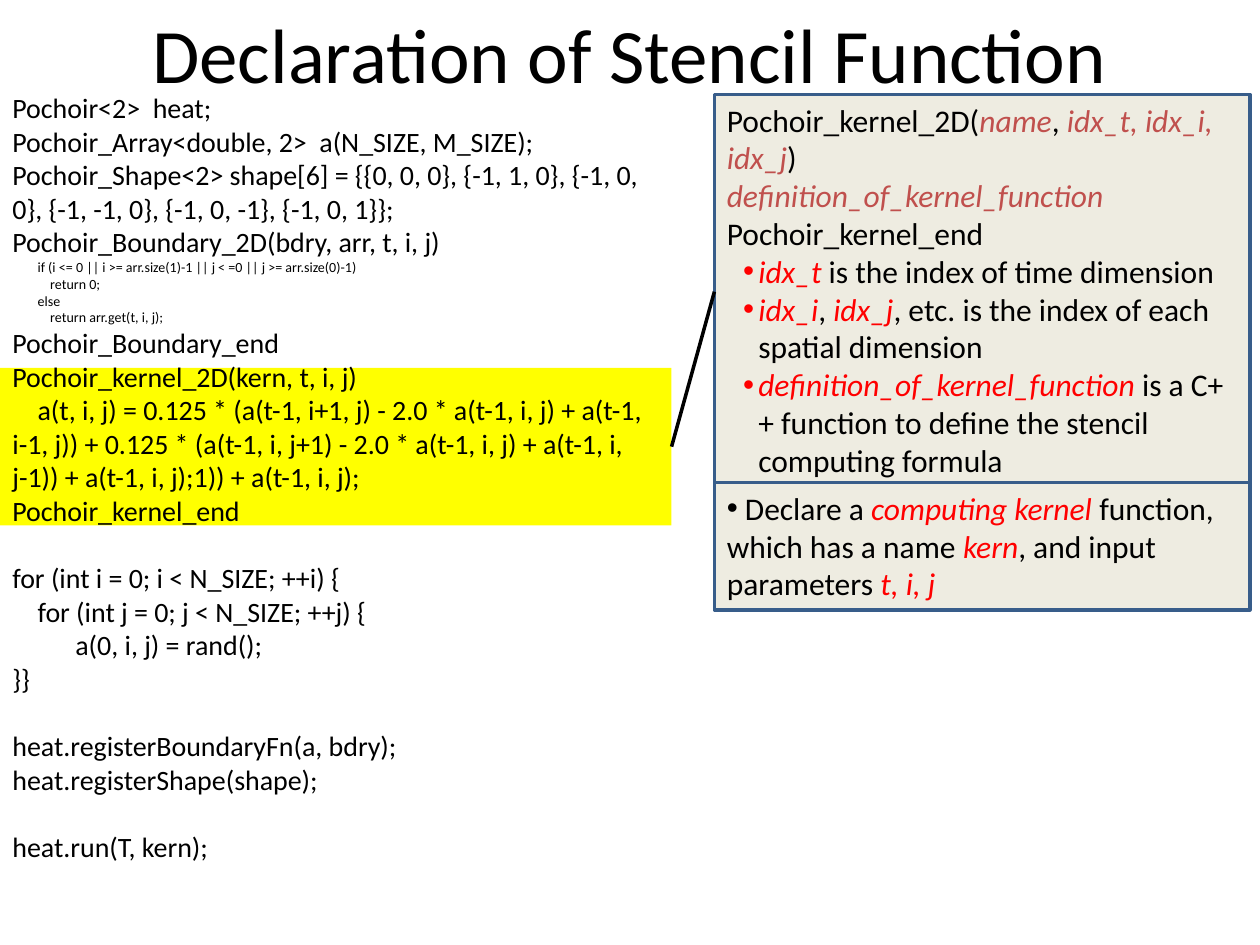
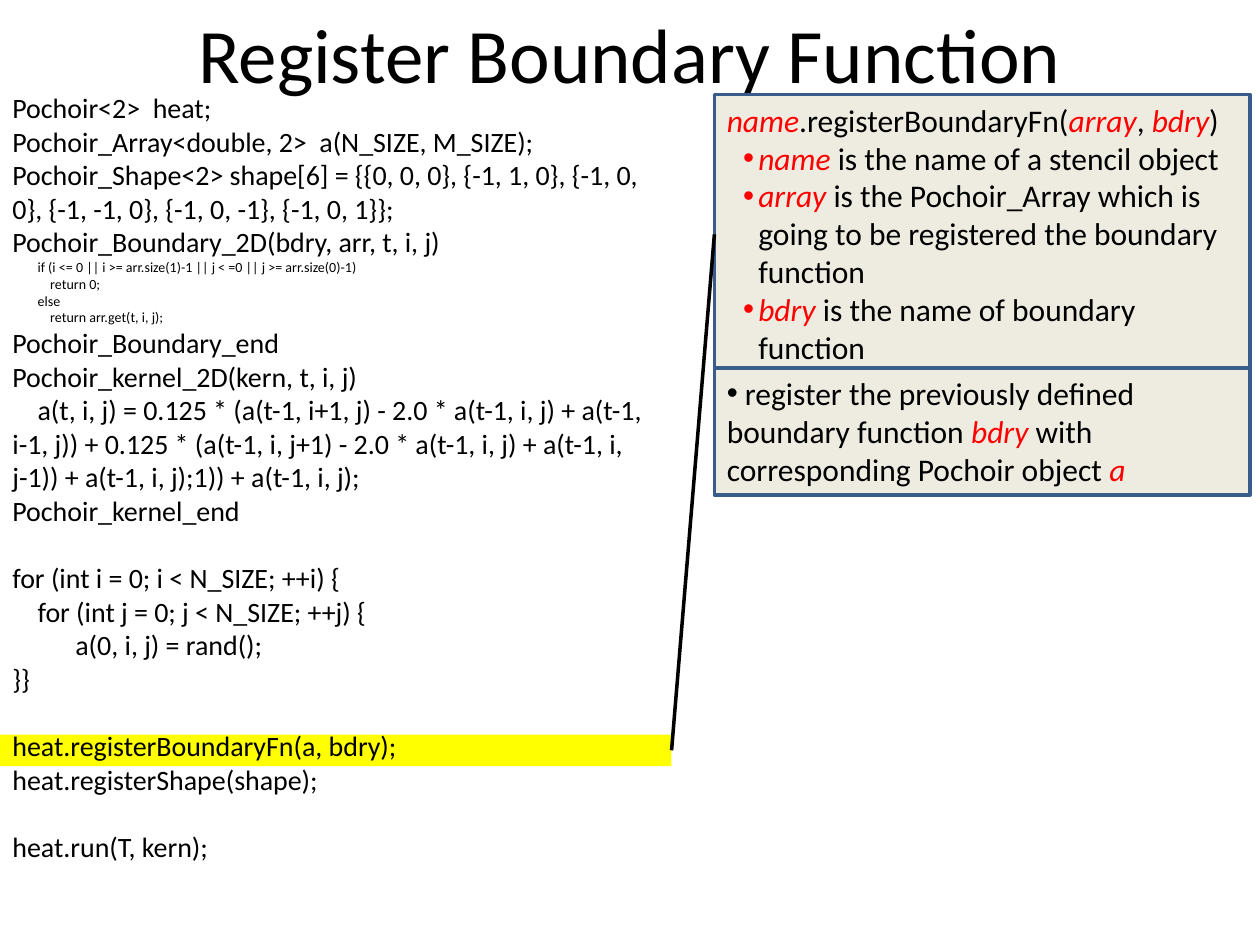
"""Build two slides that explain parts of a stencil program beside its code."""
from lxml.etree import SubElement
from pptx import Presentation
from pptx.dml.color import RGBColor
from pptx.enum.shapes import MSO_CONNECTOR, MSO_SHAPE
from pptx.enum.text import MSO_ANCHOR, PP_ALIGN
from pptx.oxml.ns import qn
from pptx.util import Inches, Pt

BLACK = RGBColor(0x00, 0x00, 0x00)
RED = RGBColor(0xFF, 0x00, 0x00)
BRICK = RGBColor(0xC0, 0x50, 0x4D)
YELLOW = RGBColor(0xFF, 0xFF, 0x00)
CREAM = RGBColor(0xEE, 0xEC, 0xE1)
NAVY = RGBColor(0x38, 0x5D, 0x8A)
FONT = "Calibri"
BLANK_LINE = Pt(19.2)
HIGHLIGHT_WIDTH = 5.33
CALLOUT_LEFT, CALLOUT_TOP, CALLOUT_WIDTH = 5.67, 0.75, 4.25
SUMMARY_HEIGHT, OVERLAP = 1.01, 0.05

# Each line of code: text, size, first-line indent, blank line before
CODE = [
    ("Pochoir<2>  heat;", 16, 0, False),
    ("Pochoir_Array<double, 2>  a(N_SIZE, M_SIZE);", 16, 0, False),
    ("Pochoir_Shape<2> shape[6] = {{0, 0, 0}, {-1, 1, 0}, {-1, 0, 0}, "
     "{-1, -1, 0}, {-1, 0, -1}, {-1, 0, 1}};", 16, 0, False),
    ("Pochoir_Boundary_2D(bdry, arr, t, i, j)", 16, 0, False),
    ("if (i <= 0 || i >= arr.size(1)-1 || j < =0 || j >= arr.size(0)-1)", 8, 0.2, False),
    ("return 0;", 8, 0.3, False),
    ("else", 8, 0.2, False),
    ("return arr.get(t, i, j);", 8, 0.3, False),
    ("Pochoir_Boundary_end", 16, 0, False),
    ("Pochoir_kernel_2D(kern, t, i, j)", 16, 0, False),
    ("a(t, i, j) = 0.125 * (a(t-1, i+1, j) - 2.0 * a(t-1, i, j) + a(t-1, i-1, j)) "
     "+ 0.125 * (a(t-1, i, j+1) - 2.0 * a(t-1, i, j) + a(t-1, i, j-1)) "
     "+ a(t-1, i, j);1)) + a(t-1, i, j);", 16, 0.2, False),
    ("Pochoir_kernel_end", 16, 0, False),
    ("for (int i = 0; i < N_SIZE; ++i) {", 16, 0, True),
    ("for (int j = 0; j < N_SIZE; ++j) {", 16, 0.2, False),
    ("a(0, i, j) = rand();", 16, 0.5, False),
    ("}}", 16, 0, False),
    ("heat.registerBoundaryFn(a, bdry);", 16, 0, True),
    ("heat.registerShape(shape);", 16, 0, False),
    ("heat.run(T, kern);", 16, 0, True),
]

# Asterisks enclose the emphasised words of the callouts
PAGES = [
    {
        "title": "Declaration of Stencil Function",
        "highlight": (2.92, 1.25),
        "syntax": ["Pochoir_kernel_2D(*name*, *idx_t, idx_i, idx_j*)",
                   "*definition_of_kernel_function*",
                   "Pochoir_kernel_end"],
        "syntax_accent": BRICK,
        "terms": ["*idx_t* is the index of time dimension",
                  "*idx_i*, *idx_j*, etc. is the index of each spatial dimension",
                  "*definition_of_kernel_function* is a C++ function to define "
                  "the stencil computing formula"],
        "callout_height": 3.13,
        "summary": " Declare a *computing kernel *function, which has a name *kern*, "
                   "and input parameters *t, i, j*",
    },
    {
        "title": "Register Boundary Function",
        "highlight": (5.83, 0.25),
        "syntax": ["*name*.registerBoundaryFn(*array*, *bdry*)"],
        "syntax_accent": RED,
        "terms": ["*name *is the name of a stencil object",
                  "*array *is the Pochoir_Array which is going to be registered "
                  "the boundary function",
                  "*bdry* is the name of boundary function"],
        "callout_height": 2.22,
        "summary": " register the previously defined boundary function *bdry* "
                   "with corresponding Pochoir object *a*",
    },
]


def add_rectangle(page, left, top, width, height, fill, line=None):
    box = page.shapes.add_shape(MSO_SHAPE.RECTANGLE, Inches(left), Inches(top),
                                Inches(width), Inches(height))
    box.shadow.inherit = False
    box.fill.solid()
    box.fill.fore_color.rgb = fill
    if line is None:
        box.line.fill.background()
    else:
        box.line.color.rgb = line
        box.line.width = Pt(2)
    return box


def fill_callout(box, lines):
    frame = box.text_frame
    frame.word_wrap = True
    frame.vertical_anchor = MSO_ANCHOR.TOP
    for number, (text, accent, bulleted, level) in enumerate(lines):
        para = frame.add_paragraph() if number else frame.paragraphs[0]
        para.alignment = PP_ALIGN.LEFT
        para.level = level
        properties = para._p.get_or_add_pPr()
        if level:
            properties.set("marL", str(Inches(0.25)))
            properties.set("indent", str(Inches(-0.12)))
        if bulleted:
            SubElement(properties, qn("a:buFont"), typeface="Arial")
            SubElement(properties, qn("a:buChar"), char="•")
        para.font.name = FONT
        para.font.size = Pt(18)
        for position, words in enumerate(text.split("*")):
            if words:
                span = para.add_run()
                span.text = words
                span.font.italic = position % 2 == 1
                span.font.color.rgb = accent if span.font.italic else BLACK


deck = Presentation()
deck.slide_width = Inches(10)
deck.slide_height = Inches(7.5)

for content in PAGES:
    page = deck.slides.add_slide(deck.slide_layouts[6])
    highlight_top, highlight_height = content["highlight"]
    add_rectangle(page, 0, highlight_top, HIGHLIGHT_WIDTH, highlight_height, YELLOW)

    code_box = page.shapes.add_textbox(0, Inches(0.67), Inches(5.42), Inches(6.29))
    code_box.text_frame.word_wrap = True
    for number, (text, size, indent, blank_before) in enumerate(CODE):
        frame = code_box.text_frame
        para = frame.add_paragraph() if number else frame.paragraphs[0]
        para.text = text
        para.font.name = FONT
        para.font.size = Pt(size)
        para.font.color.rgb = BLACK
        if indent:
            para._p.get_or_add_pPr().set("indent", str(Inches(indent)))
        if blank_before:
            para.space_before = BLANK_LINE

    title_box = page.shapes.add_textbox(Inches(0.5), 0, Inches(9), Inches(0.83))
    title_box.text_frame.word_wrap = True
    title_box.text_frame.vertical_anchor = MSO_ANCHOR.MIDDLE
    title = title_box.text_frame.paragraphs[0]
    title.text = content["title"]
    title.alignment = PP_ALIGN.CENTER
    title.font.name = FONT
    title.font.size = Pt(44)
    title.font.color.rgb = BLACK

    callout_height = content["callout_height"]
    callout = add_rectangle(page, CALLOUT_LEFT, CALLOUT_TOP, CALLOUT_WIDTH,
                            callout_height, CREAM, NAVY)
    fill_callout(callout,
                 [(text, content["syntax_accent"], False, 0) for text in content["syntax"]]
                 + [(text, RED, True, 1) for text in content["terms"]])

    pointer = page.shapes.add_connector(
        MSO_CONNECTOR.STRAIGHT,
        Inches(HIGHLIGHT_WIDTH), Inches(highlight_top + highlight_height / 2),
        Inches(CALLOUT_LEFT), Inches(CALLOUT_TOP + callout_height / 2))
    pointer.line.color.rgb = BLACK
    pointer.line.width = Pt(2)
    SubElement(pointer._element.spPr, qn("a:effectLst"))

    summary = add_rectangle(page, CALLOUT_LEFT, CALLOUT_TOP + callout_height - OVERLAP,
                            CALLOUT_WIDTH, SUMMARY_HEIGHT, CREAM, NAVY)
    fill_callout(summary, [(content["summary"], RED, True, 0)])

deck.save("out.pptx")
